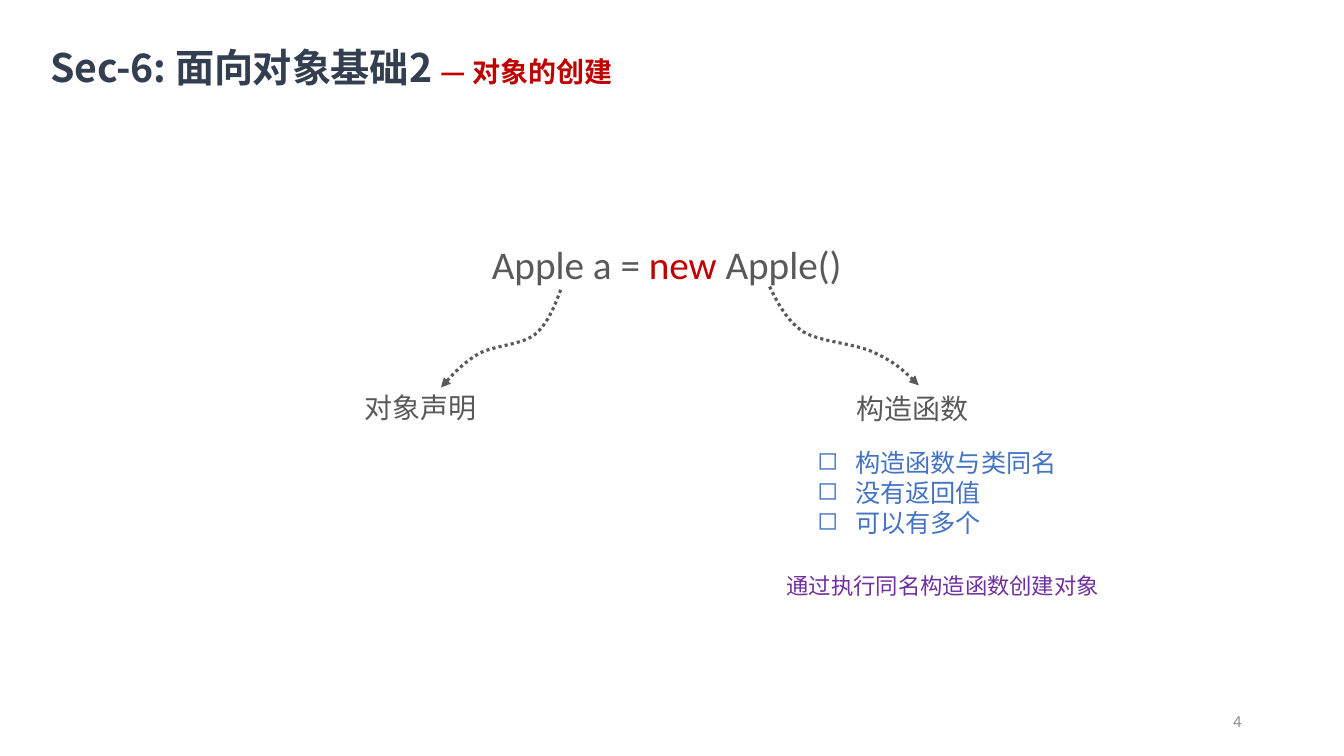
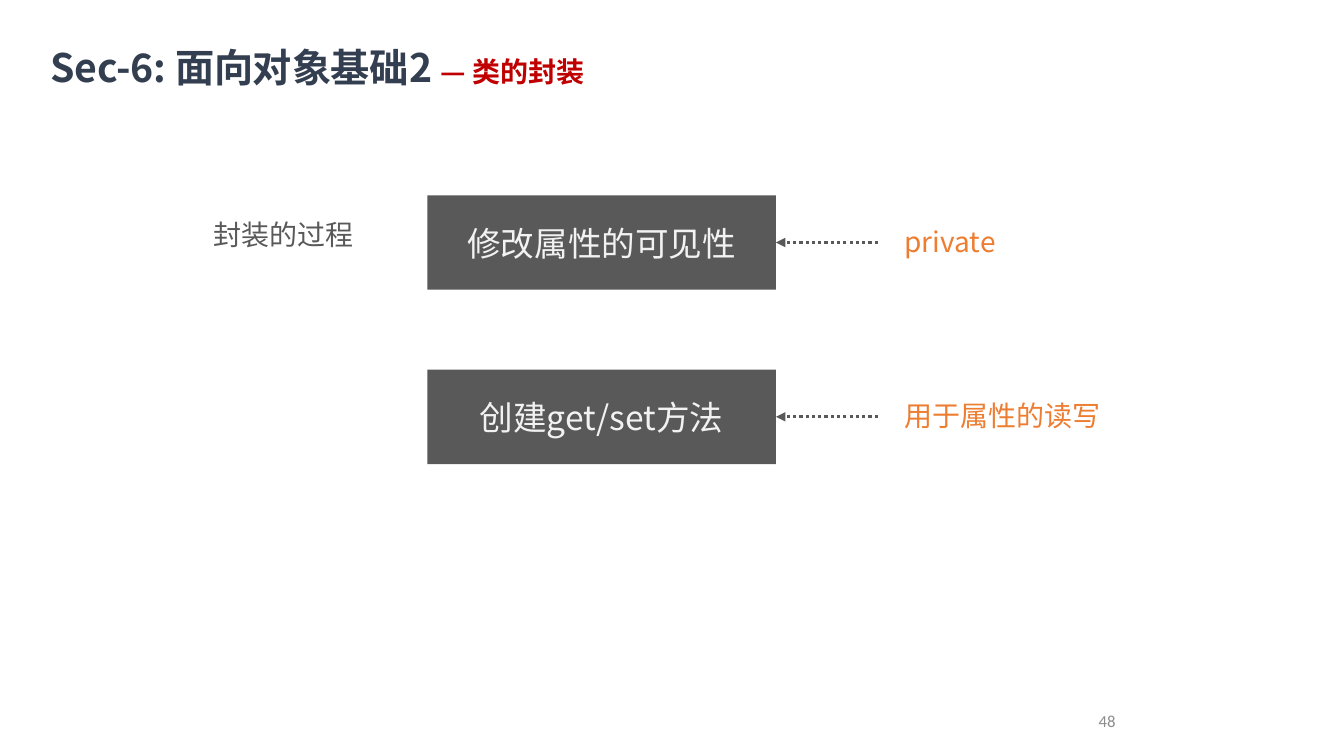
from lxml import etree
from pptx import Presentation
from pptx.dml.color import RGBColor
from pptx.enum.dml import MSO_LINE
from pptx.enum.shapes import MSO_CONNECTOR, MSO_SHAPE
from pptx.enum.text import MSO_ANCHOR, PP_ALIGN
from pptx.oxml.ns import qn
from pptx.util import Pt

PX = 9525
COLORS = {
    "navy": "333F50", "red": "C00000", "gray": "595959", "page": "8C8C8C",
    "blue": "4472C4", "purple": "7030A0", "orange": "ED7D31", "light": "F2F2F2",
}
LATIN, CJK = "Calibri", "Noto Sans CJK SC"
STYLES = {
    "title": {"name": CJK, "size": Pt(28), "bold": True},
    "subtitle": {"name": CJK, "size": Pt(20), "bold": True},
    "code": {"name": LATIN, "size": Pt(28)},
    "box": {"name": CJK, "size": Pt(24)},
    "label": {"name": CJK, "size": Pt(20)},
    "list": {"name": CJK, "size": Pt(18)},
    "note": {"name": CJK, "size": Pt(16)},
    "page": {"name": LATIN, "size": Pt(12)},
}
DOTTED = {"width": Pt(2.25), "dash_style": MSO_LINE.ROUND_DOT}


def write(shape, paragraphs, align=PP_ALIGN.LEFT, bullet=None, **frame_format):
    """Fill a shape with paragraphs, each a list of (text, style, color) runs."""
    frame = shape.text_frame
    for key, value in {"word_wrap": True, **frame_format}.items():
        setattr(frame, key, value)
    for index, runs in enumerate(paragraphs):
        paragraph = frame.paragraphs[0] if index == 0 else frame.add_paragraph()
        paragraph.alignment = align
        if bullet:
            properties = paragraph._p.get_or_add_pPr()
            properties.set("marL", str(36 * PX))
            properties.set("indent", str(-36 * PX))
            etree.SubElement(properties, qn("a:buChar")).set("char", bullet)
        for text, style, color in runs:
            run = paragraph.add_run()
            run.text = text
            for key, value in STYLES[style].items():
                setattr(run.font, key, value)
            run.font.color.rgb = RGBColor.from_string(COLORS[color])
            properties = run._r.get_or_add_rPr()
            etree.SubElement(properties, qn("a:ea")).set("typeface", STYLES[style]["name"])
            if style in ("title", "subtitle"):
                properties.set("spc", "-10")


def style_arrow(shape):
    """Give a line the dotted gray stroke with an arrowhead at its end."""
    shape.line.color.rgb = RGBColor.from_string(COLORS["gray"])
    for key, value in DOTTED.items():
        setattr(shape.line, key, value)
    etree.SubElement(shape.line._get_or_add_ln(), qn("a:tailEnd")).set("type", "triangle")
    etree.SubElement(shape._element.spPr, qn("a:effectLst"))


presentation = Presentation()
presentation.slide_width, presentation.slide_height = 1280 * PX, 720 * PX

# Title and page number of every slide
slides = []
for subtitle, number, page_left, page_width in [
    ("对象的创建", "4", 904, 288),
    ("类的封装", "48", 848, 224),
]:
    slide = presentation.slides.add_slide(presentation.slide_layouts[6])
    title = slide.shapes.add_textbox(48 * PX, 40 * PX, 622 * PX, 46 * PX)
    write(title, [[("Sec-6: 面向对象基础2 ", "title", "navy"), (f"— {subtitle}", "subtitle", "red")]],
          margin_left=0, margin_top=PX, margin_right=0, margin_bottom=0)
    page = slide.shapes.add_textbox(page_left * PX, 667 * PX, page_width * PX, 38 * PX)
    write(page, [[(number, "page", "page")]], PP_ALIGN.RIGHT, vertical_anchor=MSO_ANCHOR.MIDDLE)
    slides.append(slide)
creation, encapsulation = slides

# Object creation: statement, its two parts and the constructor rules
for (left, top, width, height), paragraphs, options in [
    ((459, 224, 356, 55),
     [[("Apple a = ", "code", "gray"), ("new", "code", "red"), (" Apple()", "code", "gray")]],
     {"word_wrap": False}),
    ((338, 367, 181, 42), [[("对象声明", "label", "gray")]], {}),
    ((806, 368, 181, 42), [[("构造函数", "label", "gray")]], {}),
    ((769, 421, 295, 97),
     [[(rule, "list", "blue")] for rule in ("构造函数与类同名", "没有返回值", "可以有多个")],
     {"bullet": "◻"}),
    ((705, 540, 386, 36), [[("通过执行同名构造函数创建对象", "note", "purple")]],
     {"align": PP_ALIGN.CENTER}),
]:
    box = creation.shapes.add_textbox(left * PX, top * PX, width * PX, height * PX)
    write(box, paragraphs, **options)

# Each curve: a start point, then three points per Bézier segment
for start, *points in [
    [(534, 276), (528, 292), (522, 308), (509, 319), (495, 329), (468, 329), (454, 338),
     (440, 347), (430, 358), (420, 369)],
    [(733, 273), (741, 289), (749, 305), (765, 316), (782, 326), (815, 327), (833, 336),
     (852, 345), (863, 355), (875, 367)],
]:
    builder = creation.shapes.build_freeform(*start, scale=PX)
    builder.add_line_segments(points, close=False)
    curve = builder.convert_to_shape()
    curve.fill.background()
    style_arrow(curve)
    outline = next(curve._element.iter(qn("a:path")))
    segments = outline.findall(qn("a:lnTo"))
    for first in range(0, len(segments), 3):
        bezier = etree.SubElement(outline, qn("a:cubicBezTo"))
        for segment in segments[first:first + 3]:
            bezier.append(segment[0])
            outline.remove(segment)

# Encapsulation: steps, each with an arrow from its explanation
heading = encapsulation.shapes.add_textbox(194 * PX, 202 * PX, 181 * PX, 42 * PX)
write(heading, [[("封装的过程", "label", "gray")]])

STEP_LEFT, STEP_TOP, STEP_WIDTH, STEP_HEIGHT, STEP_PITCH = 407, 186, 332, 90, 166
for index, (step, explanation) in enumerate([
    ("修改属性的可见性", "private"),
    ("创建get/set方法", "用于属性的读写"),
]):
    top = STEP_TOP + index * STEP_PITCH
    middle = top + STEP_HEIGHT // 2
    box = encapsulation.shapes.add_shape(
        MSO_SHAPE.RECTANGLE, STEP_LEFT * PX, top * PX, STEP_WIDTH * PX, STEP_HEIGHT * PX)
    box.shadow.inherit = False
    box.fill.solid()
    box.fill.fore_color.rgb = RGBColor.from_string(COLORS["gray"])
    box.line.fill.background()
    write(box, [[(step, "box", "light")]], PP_ALIGN.CENTER, vertical_anchor=MSO_ANCHOR.MIDDLE)

    arrow = encapsulation.shapes.add_connector(
        MSO_CONNECTOR.STRAIGHT, 836 * PX, middle * PX, (STEP_LEFT + STEP_WIDTH) * PX, middle * PX)
    arrow.end_connect(box, 3)
    style_arrow(arrow)

    label = encapsulation.shapes.add_textbox(852 * PX, (top + 23) * PX, 219 * PX, 42 * PX)
    write(label, [[(explanation, "label", "orange")]])

presentation.save("out.pptx")
